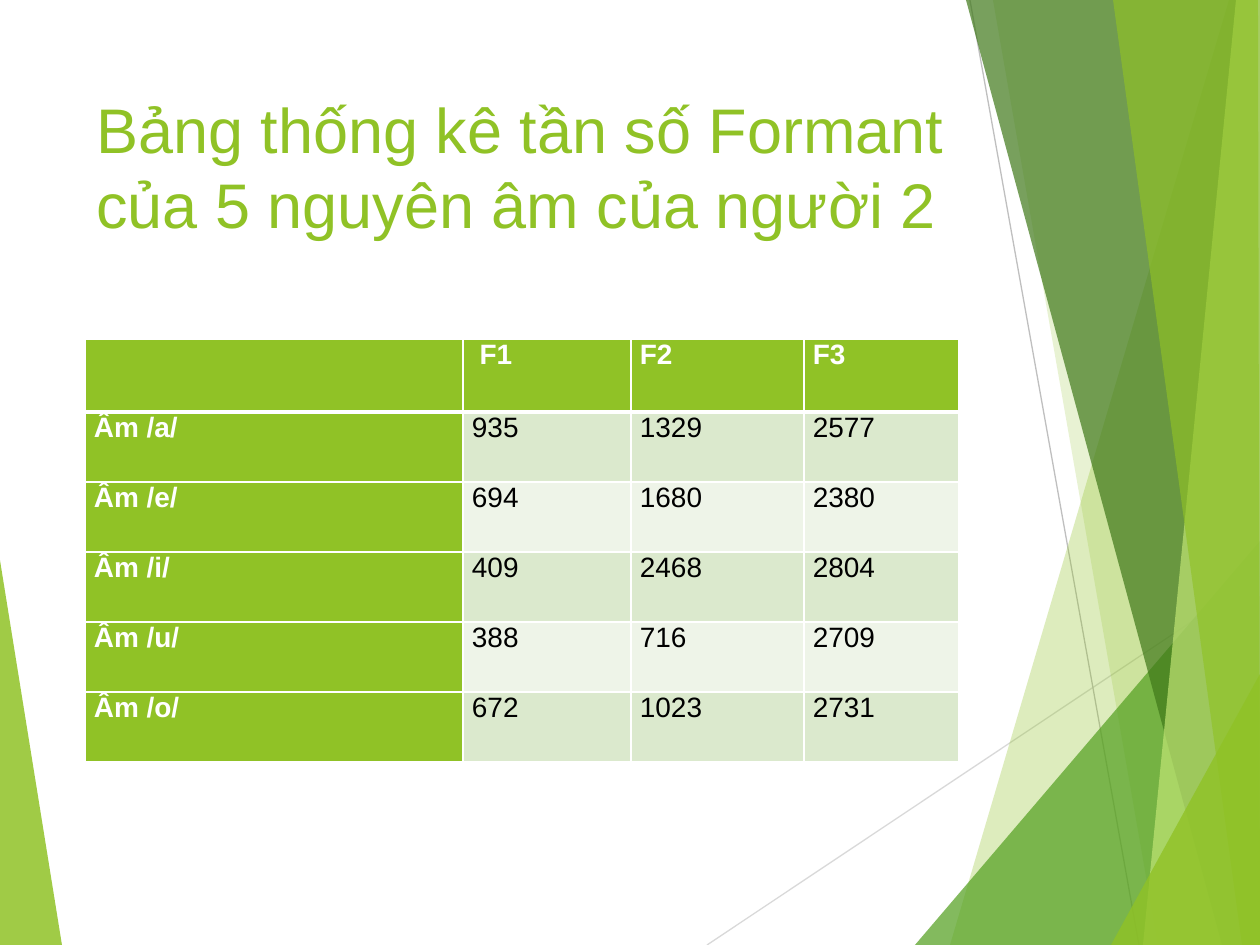
from typing import NamedTuple

from lxml import etree
from pptx import Presentation
from pptx.dml.color import RGBColor
from pptx.enum.shapes import MSO_CONNECTOR
from pptx.enum.text import MSO_ANCHOR, PP_ALIGN
from pptx.oxml.ns import qn
from pptx.util import Emu, Pt

STRAIGHT = MSO_CONNECTOR.STRAIGHT
TOP = MSO_ANCHOR.TOP
LEFT, JUSTIFY = PP_ALIGN.LEFT, PP_ALIGN.JUSTIFY
EMU_PER_PX = 914400 / 126
FONT = "Arial"
GREEN, WHITE, BLACK = "90C226", "FFFFFF", "000000"
BANDS = ("DBE9CD", "EEF4E8")


class Facet(NamedTuple):
    color: str
    opacity: int
    points: tuple


class Ray(NamedTuple):
    color: str
    start: tuple
    end: tuple


LEFT_FACET = Facet(GREEN, 85, ((0, 560), (62, 945), (0, 945)))
RAYS = (
    Ray("D9D9D9", (707, 945), (1260, 576)),
    Ray("BFBFBF", (970, 0), (1139, 945)),
)
RIGHT_FACETS = (
    Facet(GREEN, 30, ((1229, 0), (950, 945), (1260, 945), (1260, 0))),
    Facet(GREEN, 20, ((993, 0), (1158, 945), (1260, 945), (1260, 0))),
    Facet("54A021", 72, ((915, 945), (1260, 541), (1260, 945))),
    Facet("3F7819", 70, ((966, 0), (1222, 945), (1260, 945), (1260, 0))),
    Facet("C0E474", 70, ((1236, 0), (1143, 945), (1260, 945), (1260, 0))),
    Facet(GREEN, 65, ((1113, 0), (1242, 945), (1260, 945), (1258, 0))),
    Facet(GREEN, 80, ((1111, 945), (1260, 674), (1260, 945))),
)
TITLE = "Bảng thống kê tần số Formant của 5 nguyên âm của người 2"
COLUMNS = (378, 168, 173, 155)
HEADER_HEIGHT, ROW_HEIGHT = 73, 70
FORMANTS = (
    ("", " F1", "F2", "F3"),
    ("Âm /a/", "935", "1329", "2577"),
    ("Âm /e/", "694", "1680", "2380"),
    ("Âm /i/", "409", "2468", "2804"),
    ("Âm /u/", "388", "716", "2709"),
    ("Âm /o/", "672", "1023", "2731"),
)


def px(n: int) -> Emu:
    return Emu(round(n * EMU_PER_PX))


def rgb(color: str) -> RGBColor:
    return RGBColor.from_string(color)


def apply(target, values: dict) -> None:
    for name, value in values.items():
        setattr(target, name, value)


def write(tf, text: str, size: int, color: str, bold: bool, align) -> None:
    p = tf.paragraphs[0]
    p.alignment = align
    r = p.add_run()
    r.text = text
    apply(r.font, {"name": FONT, "size": Pt(size), "bold": bold})
    r.font.color.rgb = rgb(color)


def draw_facet(s, facet: Facet) -> None:
    fb = s.shapes.build_freeform(*facet.points[0], scale=EMU_PER_PX)
    fb.add_line_segments(facet.points[1:], close=True)
    sp = fb.convert_to_shape()
    sp.shadow.inherit = False
    sp.line.fill.background()
    sp.fill.solid()
    sp.fill.fore_color.rgb = rgb(facet.color)
    clr = sp.fill._xPr.find(qn("a:solidFill"))[0]
    etree.SubElement(clr, qn("a:alpha"), val=str(facet.opacity * 1000))


def draw_ray(s, ray: Ray) -> None:
    ends = [px(n) for n in ray.start + ray.end]
    line = s.shapes.add_connector(STRAIGHT, *ends)
    line.line.color.rgb = rgb(ray.color)
    line.line.width = Pt(0.75)
    etree.SubElement(line._element.spPr, qn("a:effectLst"))


def draw_title(s) -> None:
    tf = s.shapes.add_textbox(px(84), px(84), px(874), px(182)).text_frame
    apply(tf, {"word_wrap": True, "vertical_anchor": TOP})
    write(tf, TITLE, 36, GREEN, False, LEFT)


def set_borders(cell, bottom: int, top: int) -> None:
    tcPr = cell._tc.get_or_add_tcPr()
    for i, (side, width) in enumerate((("L", 1), ("R", 1), ("T", top), ("B", bottom))):
        ln = etree.Element(qn(f"a:ln{side}"), w=str(Pt(width)))
        fill = etree.SubElement(ln, qn("a:solidFill"))
        etree.SubElement(fill, qn("a:srgbClr"), val=WHITE)
        tcPr.insert(i, ln)


def draw_table(s) -> None:
    height = HEADER_HEIGHT + ROW_HEIGHT * (len(FORMANTS) - 1)
    table = s.shapes.add_table(
        len(FORMANTS), len(COLUMNS), px(85), px(339), px(sum(COLUMNS)), px(height)
    ).table
    for column, width in zip(table.columns, COLUMNS):
        column.width = px(width)
    margins = {"margin_left": px(9), "margin_right": px(9), "margin_top": 0, "margin_bottom": 0}
    for i, values in enumerate(FORMANTS):
        table.rows[i].height = px(ROW_HEIGHT if i else HEADER_HEIGHT)
        for j, value in enumerate(values):
            cell = table.cell(i, j)
            heading = i == 0 or j == 0
            apply(cell, margins)
            cell.fill.solid()
            cell.fill.fore_color.rgb = rgb(GREEN if heading else BANDS[(i - 1) % 2])
            set_borders(cell, 1 if i else 3, 3 if i == 1 else 1)
            if value:
                write(cell.text_frame, value, 16, WHITE if heading else BLACK, heading, JUSTIFY)


def main() -> None:
    prs = Presentation()
    apply(prs, {"slide_width": px(1260), "slide_height": px(945)})
    s = prs.slides.add_slide(prs.slide_layouts[6])
    draw_facet(s, LEFT_FACET)
    for ray in RAYS:
        draw_ray(s, ray)
    for facet in RIGHT_FACETS:
        draw_facet(s, facet)
    draw_title(s)
    draw_table(s)
    prs.save("out.pptx")


if __name__ == "__main__":
    main()
